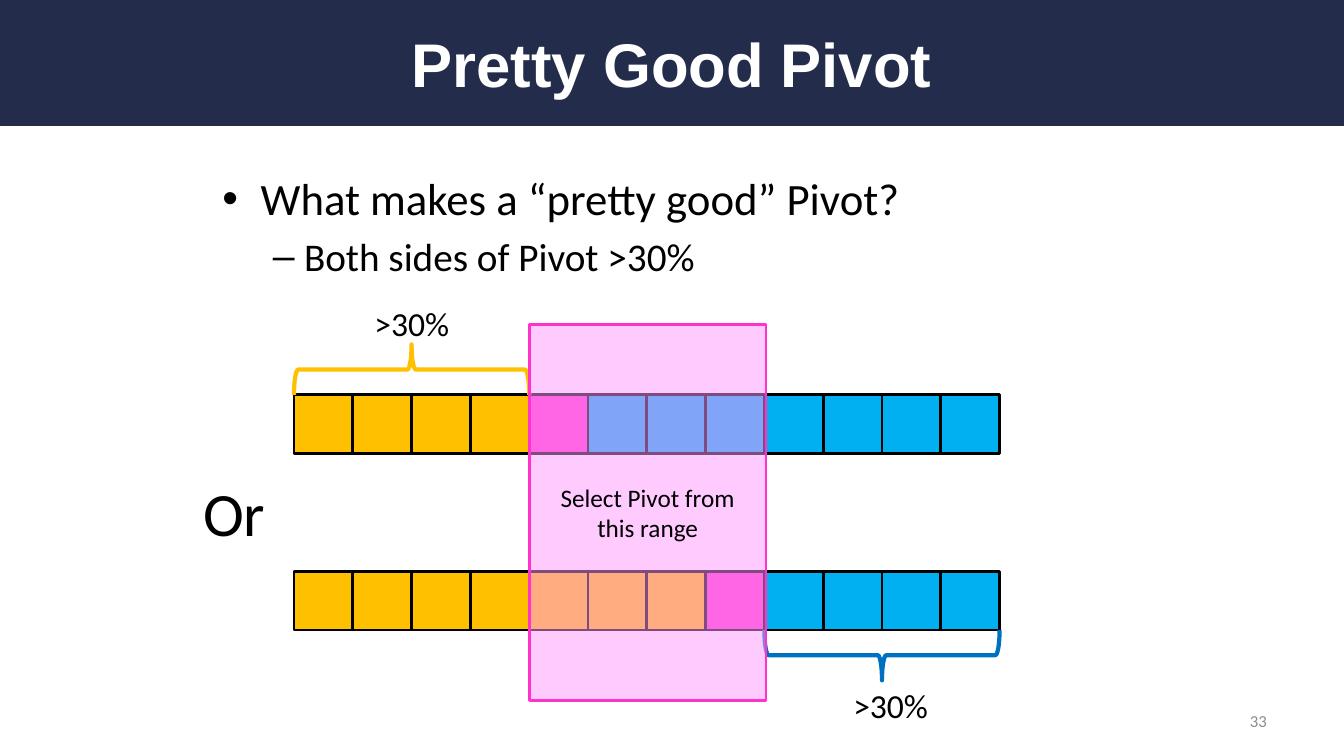
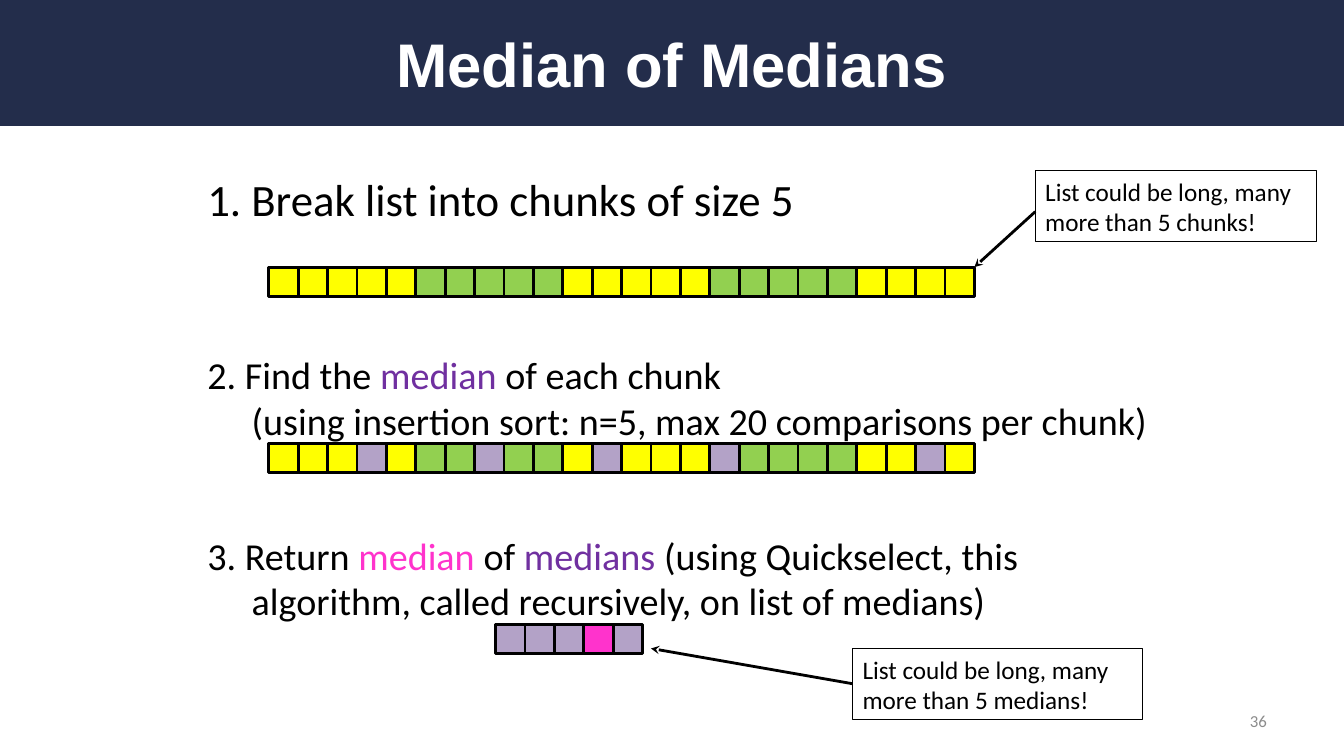
from lxml import etree
from pptx import Presentation
from pptx import util as u
from pptx.dml.color import RGBColor
from pptx.enum import shapes, text
from pptx.oxml import ns

NAVY = RGBColor(0x23, 0x2D, 0x4B)
WHITE = RGBColor(0xFF, 0xFF, 0xFF)
BLACK = RGBColor(0x00, 0x00, 0x00)
GREY = RGBColor(0x8C, 0x8C, 0x8C)
AMBER = RGBColor(0xFF, 0xC0, 0x00)
SKY = RGBColor(0x00, 0xB0, 0xF0)
BLUE = RGBColor(0x00, 0x70, 0xC0)
PINK = RGBColor(0xFF, 0x33, 0xCC)
PALE_PINK = RGBColor(0xFF, 0x99, 0xFF)
YELLOW = RGBColor(0xFF, 0xFF, 0x00)
GREEN = RGBColor(0x92, 0xD0, 0x50)
LILAC = RGBColor(0xB3, 0xA2, 0xC7)
PURPLE = RGBColor(0x70, 0x30, 0xA0)

RECT = shapes.MSO_SHAPE.RECTANGLE
LEFT, CENTER, RIGHT = text.PP_ALIGN.LEFT, text.PP_ALIGN.CENTER, text.PP_ALIGN.RIGHT
TOP, MIDDLE = text.MSO_ANCHOR.TOP, text.MSO_ANCHOR.MIDDLE

COLS, ROWS = 320, 180  # square grid: 24 steps to the inch
STEP = u.Inches(1 / 24)
BIG, SMALL = 14, 7  # array cell sizes in grid steps


def grid(*steps):
    return [u.Emu(round(n * STEP)) for n in steps]


def sub(parent, tag, **attrs):
    return etree.SubElement(parent, ns.qn(tag), attrs)


class Deck:
    TITLE_FONT, BODY_FONT = "Arial", "Calibri"

    def __init__(self):
        self.prs = Presentation()
        self.prs.slide_width, self.prs.slide_height = grid(COLS, ROWS)
        self.layout = self.prs.slide_layouts[5]
        self.s = None
        self.has_band = False

    def slide(self, title, number):
        self.s = self.prs.slides.add_slide(self.layout)
        if not self.has_band:
            self.band()
        sp = self.s.shapes.title
        sp.left, sp.top, sp.width, sp.height = grid(16, 4, 288, 22)
        sp.text_frame.vertical_anchor = MIDDLE
        self.runs(sp.text_frame.paragraphs[0], [(title, WHITE)], 44, CENTER,
                  self.TITLE_FONT, True)
        self.text((229.4, 166.8, 74.6, 9.6), [(str(number), GREY)], 12,
                  align=RIGHT, anchor=MIDDLE)

    def band(self):
        """Put the title band on the layout, behind every slide's content."""
        sp = self.shape(RECT, (0, 0, COLS, 30), fill=NAVY)
        self.layout.shapes.element.insert(2, sp.element)
        self.has_band = True

    def runs(self, p, pieces, size, align=LEFT, font=BODY_FONT, bold=False):
        """Fill a paragraph from (text, colour) pieces; "\\n" breaks the line."""
        p.alignment = align
        for words, color in pieces:
            if words == "\n":
                p.add_line_break()
                continue
            r = p.add_run()
            r.text = words
            r.font.name, r.font.size, r.font.bold = font, u.Pt(size), bold
            r.font.color.rgb = color

    def indent(self, p, margin, hang, bullet=None):
        p_pr = p._p.get_or_add_pPr()
        p_pr.set("marL", str(u.Inches(margin)))
        p_pr.set("indent", str(-u.Inches(hang)))
        if bullet:
            sub(p_pr, "a:buFont", typeface="Arial")
            sub(p_pr, "a:buChar", char=bullet)

    def text(self, box, pieces, size, align=LEFT, anchor=TOP, wrap=True):
        tf = self.s.shapes.add_textbox(*grid(*box)).text_frame
        tf.word_wrap, tf.vertical_anchor = wrap, anchor
        self.runs(tf.paragraphs[0], pieces, size, align)
        return tf

    def step(self, box, pieces, size, anchor=TOP):
        """A numbered step whose second line hangs under the words."""
        p = self.text(box, pieces, size, anchor=anchor).paragraphs[0]
        p.space_before = u.Pt(size * 0.2)
        self.indent(p, 0.44, 0.44)

    def bullets(self, box, items):
        tf = self.text(box, [], 32, anchor=MIDDLE)
        styles = [(32, 0.38, 0.38, "•"), (28, 0.81, 0.31, "–")]
        for i, (level, words) in enumerate(items):
            p = tf.add_paragraph() if i else tf.paragraphs[0]
            size, margin, hang, mark = styles[level]
            p.level = level
            p.space_before = u.Pt(size * 0.2)
            self.indent(p, margin, hang, mark)
            self.runs(p, [(words, BLACK)], size)

    def shape(self, kind, box, fill=None, line=None, weight=2, parent=None):
        sp = (parent or self.s).shapes.add_shape(kind, *grid(*box))
        sp.shadow.inherit = False
        if fill is None:
            sp.fill.background()
        else:
            sp.fill.solid()
            sp.fill.fore_color.rgb = fill
        if line is None:
            sp.line.fill.background()
        else:
            sp.line.color.rgb, sp.line.width = line, u.Pt(weight)
        return sp

    def array(self, left, top, cell, colors):
        group = self.s.shapes.add_group_shape()
        for i, color in enumerate(colors):
            self.shape(RECT, (left + i * cell, top, cell, cell), color, BLACK,
                       parent=group)

    def brace(self, left, top, span, depth, color, rotation):
        """A horizontal brace, placed by the box it fills once turned."""
        box = (left + (span - depth) / 2, top + (depth - span) / 2, depth, span)
        sp = self.shape(shapes.MSO_SHAPE.RIGHT_BRACE, box, line=color, weight=3)
        sp.rotation = rotation

    def note(self, box, words, align=LEFT, **style):
        sp = self.shape(RECT, box, **style)
        tf = sp.text_frame
        tf.word_wrap, tf.vertical_anchor = True, MIDDLE
        self.runs(tf.paragraphs[0], [(words, BLACK)], 18, align)
        return sp

    def window(self, box, words):
        """A see-through note laid over the arrays."""
        sp = self.note(box, words, CENTER, fill=PALE_PINK, line=PINK)
        color = sp.element.spPr.find(ns.qn("a:solidFill"))[0]
        sub(color, "a:alpha", val="50000")

    def arrow(self, start, end):
        c = self.s.shapes.add_connector(shapes.MSO_CONNECTOR.STRAIGHT,
                                        *grid(*start, *end))
        c.line.color.rgb, c.line.width = BLACK, u.Pt(2)
        sub(c.line._get_or_add_ln(), "a:tailEnd", type="stealth")
        sub(c.element.spPr, "a:effectLst")


def pretty_good_pivot(d):
    d.slide("Pretty Good Pivot", 33)
    d.bullets((50.6, 34.6, 216, 38),
              [(0, "What makes a “pretty good” Pivot?"),
               (1, "Both sides of Pivot >30%")])
    left, upper, lower = 70, 94, 136
    span, depth = 4 * BIG, 12
    d.array(left, upper, BIG, [AMBER] * 4 + [PINK] + [SKY] * 7)
    d.array(left, lower, BIG, [AMBER] * 7 + [PINK] + [SKY] * 4)
    d.text((46, 112, 20, 20), [("Or", BLACK)], 44, wrap=False)
    d.brace(left, upper - depth, span, depth, AMBER, 270)
    d.brace(left + 2 * span, lower + BIG, span, depth, BLUE, 90)
    for x, y in [(86.8, 71), (200.8, 161.8)]:
        d.text((x, y, 22.8, 12), [(">30%", BLACK)], 24, wrap=False)
    d.window((left + span, 77.2, 56.4, 89.6), "Select Pivot from this range")


def median_of_medians(d):
    d.slide("Median of Medians", 36)
    left, tops = 64, (63.6, 105.6, 148.6)
    chunks = [GREEN if i // 5 % 2 else YELLOW for i in range(24)]
    medians = {3, 7, 11, 15, 22}
    marked = [LILAC if i in medians else c for i, c in enumerate(chunks)]

    d.step((47, 37.4, 216, 20),
           [("1. Break list into chunks of size 5", BLACK)], 32, MIDDLE)
    d.array(left, tops[0], SMALL, chunks)
    d.step((47, 82.5, 230, 20),
           [("2. Find the ", BLACK), ("median", PURPLE),
            (" of each chunk", BLACK), ("\n", BLACK),
            ("(using insertion sort: n=5, max 20 comparisons per chunk)", BLACK)],
           27.2)
    d.array(left, tops[1], SMALL, marked)
    d.step((47, 125.5, 216, 20),
           [("3. Return ", BLACK), ("median", PINK), (" of ", BLACK),
            ("medians ", PURPLE), ("(using Quickselect, this", BLACK),
            ("\n", BLACK),
            ("algorithm, called recursively, on list of medians)", BLACK)], 27.2)
    d.array(118, tops[2], SMALL, [LILAC] * 3 + [PINK, LILAC])

    callouts = [((246.5, 40.6, 67, 17), "chunks", 50.4, (232, tops[0])),
                ((203, 154.4, 69, 17), "medians", 162.8, (155, 154.4))]
    for box, things, start, target in callouts:
        d.note(box, f"List could be long, many more than 5 {things}!",
               line=BLACK, weight=0.75)
        d.arrow((box[0], start), target)


def main():
    deck = Deck()
    pretty_good_pivot(deck)
    median_of_medians(deck)
    deck.prs.save("out.pptx")


if __name__ == "__main__":
    main()
